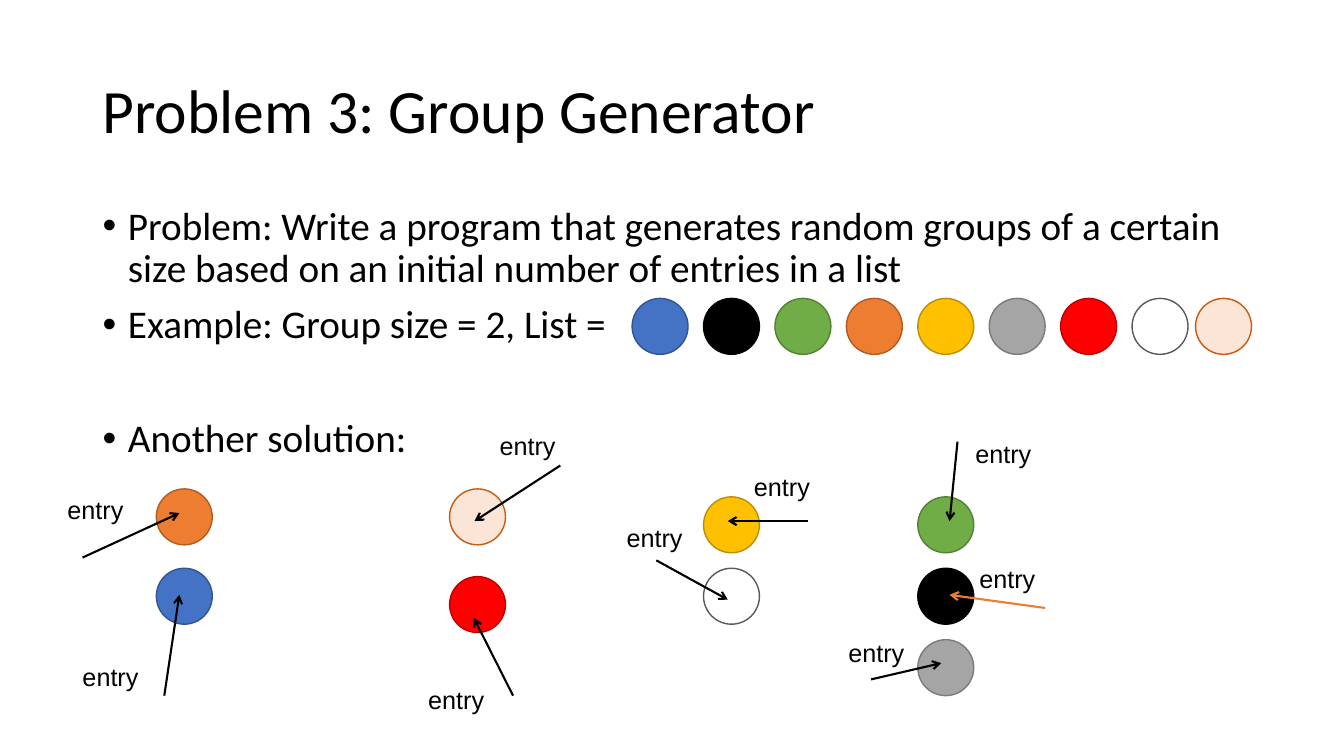
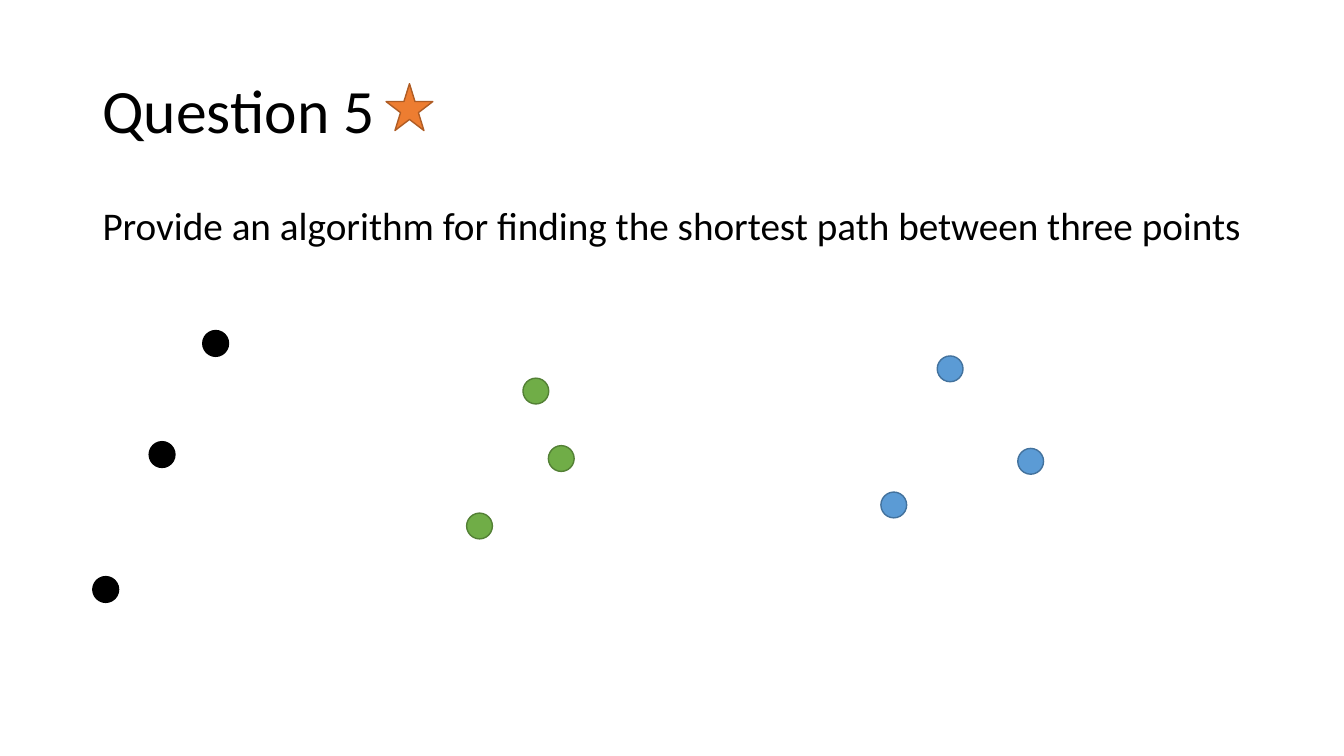
from lxml.etree import SubElement
from pptx import Presentation
from pptx.dml.color import RGBColor
from pptx.enum.shapes import MSO_CONNECTOR, MSO_SHAPE
from pptx.enum.text import MSO_ANCHOR, MSO_AUTO_SIZE, PP_ALIGN
from pptx.oxml.ns import qn
from pptx.util import Cm, Pt

# Colours
BLACK = RGBColor(0x00, 0x00, 0x00)
ORANGE = RGBColor(0xED, 0x7D, 0x31)

# Each paint is a fill and its outline
BLACK_PAINT = (BLACK, BLACK)
BLUE_PAINT = (RGBColor(0x44, 0x72, 0xC4), RGBColor(0x32, 0x54, 0x91))
GREEN_PAINT = (RGBColor(0x70, 0xAD, 0x47), RGBColor(0x53, 0x80, 0x35))
ORANGE_PAINT = (ORANGE, RGBColor(0xAF, 0x5C, 0x24))
GOLD_PAINT = (RGBColor(0xFF, 0xC0, 0x00), RGBColor(0xBD, 0x8E, 0x00))
GRAY_PAINT = (RGBColor(0xA5, 0xA5, 0xA5), RGBColor(0x7A, 0x7A, 0x7A))
RED_PAINT = (RGBColor(0xFF, 0x00, 0x00), RGBColor(0xC0, 0x00, 0x00))
WHITE_PAINT = (RGBColor(0xFF, 0xFF, 0xFF), RGBColor(0x59, 0x59, 0x59))
PEACH_PAINT = (RGBColor(0xFB, 0xE5, 0xD6), RGBColor(0xC5, 0x5A, 0x11))
SKY_PAINT = (RGBColor(0x5B, 0x9B, 0xD5), RGBColor(0x43, 0x72, 0x9D))


def write(paragraph, text, font="Calibri", size=28, color=BLACK,
          line_spacing=0.9, before=0):
    """Put formatted text into a paragraph."""
    paragraph.alignment = PP_ALIGN.LEFT
    paragraph.line_spacing = line_spacing
    paragraph.space_before = Pt(before)
    run = paragraph.add_run()
    run.text = text
    run.font.name = font
    run.font.size = Pt(size)
    run.font.color.rgb = color


class Deck:
    """Holds the shared style and the slide being built."""

    LEFT, WIDTH = 2.33, 29.21
    OUTLINE = Pt(1)
    ARROW_WIDTH = Pt(1.5)

    def __init__(self):
        self.presentation = Presentation()
        self.presentation.slide_width = Cm(33.87)
        self.presentation.slide_height = Cm(19.05)
        self.slide = None

    def start_slide(self, title):
        layout = self.presentation.slide_layouts[1]
        self.slide = self.presentation.slides.add_slide(layout)
        frame = self.place(self.slide.shapes.title, 1.01, 3.68, MSO_ANCHOR.MIDDLE)
        write(frame.paragraphs[0], title, size=44)

    def place(self, placeholder, top, height, anchor):
        placeholder.left, placeholder.top = Cm(self.LEFT), Cm(top)
        placeholder.width, placeholder.height = Cm(self.WIDTH), Cm(height)
        frame = placeholder.text_frame
        frame.auto_size = MSO_AUTO_SIZE.NONE
        frame.vertical_anchor = anchor
        return frame

    def body(self, items, bulleted=True):
        """Fill the body with (text, space before) items."""
        frame = self.place(self.slide.placeholders[1], 5.07, 12.09, MSO_ANCHOR.TOP)
        for index, (text, before) in enumerate(items):
            paragraph = frame.add_paragraph() if index else frame.paragraphs[0]
            write(paragraph, text, before=before)
            properties = paragraph._p.get_or_add_pPr()
            indent = Cm(0.64) if bulleted else 0
            properties.set("marL", str(indent))
            properties.set("indent", str(-indent))
            if bulleted:
                SubElement(properties, qn("a:buChar")).set("char", "•")
            else:
                SubElement(properties, qn("a:buNone"))

    def figure(self, left, top, size, paint, kind=MSO_SHAPE.OVAL):
        shape = self.slide.shapes.add_shape(
            kind, Cm(left), Cm(top), Cm(size), Cm(size))
        fill, outline = paint
        shape.fill.solid()
        shape.fill.fore_color.rgb = fill
        shape.line.color.rgb = outline
        shape.line.width = self.OUTLINE
        shape.shadow.inherit = False

    def arrow(self, start, end, color=BLACK):
        connector = self.slide.shapes.add_connector(
            MSO_CONNECTOR.STRAIGHT, *(Cm(value) for value in start + end))
        connector.line.color.rgb = color
        connector.line.width = self.ARROW_WIDTH
        SubElement(connector.line._get_or_add_ln(), qn("a:tailEnd")).set("type", "arrow")
        SubElement(connector._element.spPr, qn("a:effectLst"))

    def label(self, text, left, top):
        box = self.slide.shapes.add_textbox(Cm(left), Cm(top), Cm(2.31), Cm(1.02))
        box.text_frame.word_wrap = True
        write(box.text_frame.paragraphs[0], text, font="Arial", size=18, line_spacing=1)


def build_group_generator(deck):
    deck.start_slide("Problem 3: Group Generator")
    # The last item stands one line lower
    deck.body([
        ("Problem: Write a program that generates random groups of a certain "
         "size based on an initial number of entries in a list", 10),
        ("Example: Group size = 2, List =", 10),
        ("Another solution:", 51),
    ])

    # Initial list: evenly spaced, with the last entry set closer
    entry_size, entry_step, list_left, list_top = 1.41, 1.8, 15.93, 7.52
    initial_list = [BLUE_PAINT, BLACK_PAINT, GREEN_PAINT, ORANGE_PAINT,
                    GOLD_PAINT, GRAY_PAINT, RED_PAINT, WHITE_PAINT]
    for index, paint in enumerate(initial_list):
        deck.figure(list_left + index * entry_step, list_top, entry_size, paint)
    deck.figure(30.13, list_top, entry_size, PEACH_PAINT)

    # Groups: left, top, step down, entries
    groups = [
        (3.94, 12.32, 2, [ORANGE_PAINT, BLUE_PAINT]),
        (11.33, 12.32, 2.21, [PEACH_PAINT, RED_PAINT]),
        (list_left + entry_step, 12.52, entry_step, [GOLD_PAINT, WHITE_PAINT]),
        (list_left + 4 * entry_step, 12.52, entry_step,
         [GREEN_PAINT, BLACK_PAINT, GRAY_PAINT]),
    ]
    for left, top, step, paints in groups:
        for index, paint in enumerate(paints):
            deck.figure(left, top + index * step, entry_size, paint)

    # Callouts: arrow start, arrow end, label corner, arrow colour
    callouts = [
        ((2.08, 14.05), (4.52, 12.93), (1.45, 12.32), BLACK),
        ((4.14, 17.53), (4.52, 14.99), (1.83, 16.54), BLACK),
        ((12.93, 17.53), (11.94, 15.57), (10.54, 17.12), BLACK),
        ((14.12, 11.73), (11.96, 13.13), (12.34, 10.72), BLACK),
        ((20.35, 13.13), (18.34, 13.13), (18.75, 11.76), BLACK),
        ((16.54, 14.12), (18.34, 15.11), (15.54, 13.03), BLACK),
        ((24.13, 11.13), (23.93, 13.13), (24.33, 10.92), BLACK),
        ((26.34, 15.32), (23.93, 14.99), (24.43, 14.07), ORANGE),
        ((21.95, 17.12), (23.72, 16.71), (21.13, 15.93), BLACK),
    ]
    for start, end, corner, color in callouts:
        deck.arrow(start, end, color)
        deck.label("entry", *corner)


def build_shortest_path(deck):
    deck.start_slide("Question 5")
    deck.body([("Provide an algorithm for finding the shortest path "
                "between three points", 10)], bulleted=False)

    # Three sets of three points
    point_sets = [
        (BLACK_PAINT, [(2.34, 14.53), (3.76, 11.13), (5.11, 8.33)]),
        (GREEN_PAINT, [(11.76, 12.93), (13.18, 9.53), (13.82, 11.23)]),
        (SKY_PAINT, [(22.2, 12.4), (23.62, 8.97), (25.65, 11.3)]),
    ]
    for paint, points in point_sets:
        for left, top in points:
            deck.figure(left, top, 0.65, paint)

    # Star beside the title
    deck.figure(9.73, 2.11, 1.18, ORANGE_PAINT, MSO_SHAPE.STAR_5_POINT)


def main():
    deck = Deck()
    build_group_generator(deck)
    build_shortest_path(deck)
    deck.presentation.save("out.pptx")


if __name__ == "__main__":
    main()
